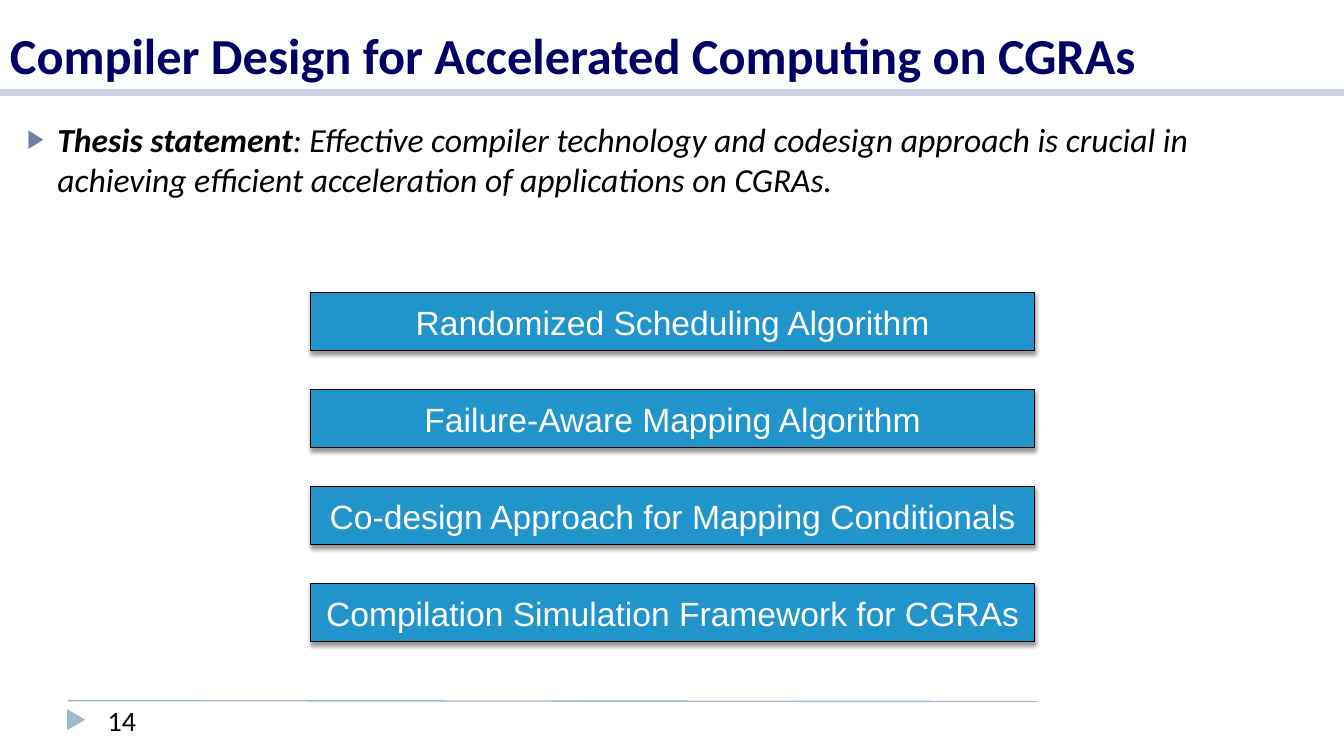
from dataclasses import dataclass

from lxml import etree
from pptx import Presentation, util as u
from pptx.dml.color import RGBColor
from pptx.enum import shapes, text
from pptx.oxml import parse_xml
from pptx.oxml.ns import nsdecls, qn


@dataclass(frozen=True)
class Theme:
    """Colours, fonts and type sizes of the slide."""
    navy: str = "000066"
    black: str = "000000"
    white: str = "FFFFFF"
    topic_blue: str = "2094CB"
    title_rule: str = "CCD0E0"
    footer_blue: str = "9FB8CD"
    bullet: str = "727CA3"
    body_font: str = "Calibri"
    topic_font: str = "Arial"
    title_size: int = 36
    body_size: int = 24
    number_size: int = 20


THEME = Theme()
TOPICS = (
    "Randomized Scheduling Algorithm",
    "Failure-Aware Mapping Algorithm",
    "Co-design Approach for Mapping Conditionals",
    "Compilation Simulation Framework for CGRAs",
)
TOPIC_TOP, TOPIC_PITCH = 2.9, 0.963


def add_run(paragraph, words, color, **font_values):
    """Append a run with the given font values."""
    run = paragraph.add_run()
    run.text = words
    run.font.color.rgb = RGBColor.from_string(color)
    for name, value in font_values.items():
        setattr(run.font, name, value)


def add_text(slide, box, anchor=text.MSO_ANCHOR.TOP):
    """Add a wrapping text box and return its first paragraph."""
    frame = slide.shapes.add_textbox(*map(u.Inches, box)).text_frame
    frame.word_wrap = True
    frame.vertical_anchor = anchor
    return frame.paragraphs[0]


def add_rule(slide, start, end, color, width):
    """Draw a straight line without a shadow."""
    ends = map(u.Inches, (*start, *end))
    rule = slide.shapes.add_connector(shapes.MSO_CONNECTOR.STRAIGHT, *ends)
    rule.line.color.rgb = RGBColor.from_string(color)
    rule.line.width = u.Pt(width)
    etree.SubElement(rule._element.spPr, qn("a:effectLst"))


def add_filled(slide, kind, box, color):
    """Add a filled preset shape without a shadow."""
    shape = slide.shapes.add_shape(kind, *map(u.Inches, box))
    shape.shadow.inherit = False
    shape.fill.solid()
    shape.fill.fore_color.rgb = RGBColor.from_string(color)
    return shape


def add_title(slide, words):
    """Add the slide title above its rule."""
    title = add_text(slide, (0, 0, 13.33, 0.89), text.MSO_ANCHOR.BOTTOM)
    add_run(title, words, THEME.navy, name=THEME.body_font,
            size=u.Pt(THEME.title_size), bold=True)
    add_rule(slide, (0, 0.92), (13.33, 0.92), THEME.title_rule, 5)


def add_footer(slide, number):
    """Add the footer rule, its marker and the page number."""
    add_rule(slide, (0.67, 6.95), (10.29, 6.96), THEME.footer_blue, 1)
    marker = add_filled(slide, shapes.MSO_SHAPE.ISOSCELES_TRIANGLE,
                        (0.65, 7.05, 0.21, 0.18), THEME.footer_blue)
    marker.line.fill.background()
    marker.rotation = 90
    page = add_text(slide, (0.97, 6.93, 1.38, 0.4))
    add_run(page, number, THEME.black, name=THEME.body_font,
            size=u.Pt(THEME.number_size))


def add_bullet(paragraph):
    """Give a paragraph a hanging triangle bullet."""
    properties = paragraph._p.get_or_add_pPr()
    indent = u.Inches(0.3)
    for name, value in {"marL": indent, "indent": -indent}.items():
        properties.set(name, str(int(value)))
    for tag, name, value in (("a:buSzPct", "val", "76000"),
                             ("a:buFont", "typeface", THEME.topic_font),
                             ("a:buChar", "char", "▶")):
        etree.SubElement(properties, qn(tag)).set(name, value)
    color = parse_xml(f'<a:buClr {nsdecls("a")}>'
                      f'<a:srgbClr val="{THEME.bullet}"/></a:buClr>')
    properties.insert(0, color)


def add_thesis(slide, lead, statement):
    """Add the bulleted thesis statement with a bold lead."""
    thesis = add_text(slide, (0.17, 1.13, 12.59, 1))
    add_bullet(thesis)
    for words, bold in ((lead, True), (statement, False)):
        add_run(thesis, words, THEME.black, name=THEME.body_font,
                size=u.Pt(THEME.body_size), bold=bold, italic=True)


def add_topic(slide, top, words):
    """Add a topic bar with a soft shadow below it."""
    topic = add_filled(slide, shapes.MSO_SHAPE.RECTANGLE,
                       (3.08, top, 7.18, 0.58), THEME.topic_blue)
    topic.line.color.rgb = RGBColor.from_string(THEME.black)
    topic.line.width = u.Pt(0.75)
    effects = topic._element.spPr.find(qn("a:effectLst"))
    effects.append(parse_xml(
        f'<a:outerShdw {nsdecls("a")} blurRad="{u.Pt(3)}" dist="{u.Pt(2)}" '
        f'dir="5400000" rotWithShape="0"><a:srgbClr val="{THEME.black}">'
        '<a:alpha val="40000"/></a:srgbClr></a:outerShdw>'))
    topic.text_frame.vertical_anchor = text.MSO_ANCHOR.MIDDLE
    label = topic.text_frame.paragraphs[0]
    label.alignment = text.PP_ALIGN.CENTER
    add_run(label, words, THEME.white, name=THEME.topic_font,
            size=u.Pt(THEME.body_size))


def main():
    """Build the slide and save it."""
    deck = Presentation()
    deck.slide_width, deck.slide_height = u.Inches(13.33), u.Inches(7.5)
    slide = deck.slides.add_slide(deck.slide_layouts[6])
    add_title(slide, "Compiler Design for Accelerated Computing on CGRAs")
    add_footer(slide, "14")
    add_thesis(slide, "Thesis statement",
               ": Effective compiler technology and codesign approach is "
               "crucial in achieving efficient acceleration of applications "
               "on CGRAs.")
    for row, words in enumerate(TOPICS):
        add_topic(slide, TOPIC_TOP + row * TOPIC_PITCH, words)
    deck.save("out.pptx")


if __name__ == "__main__":
    main()
